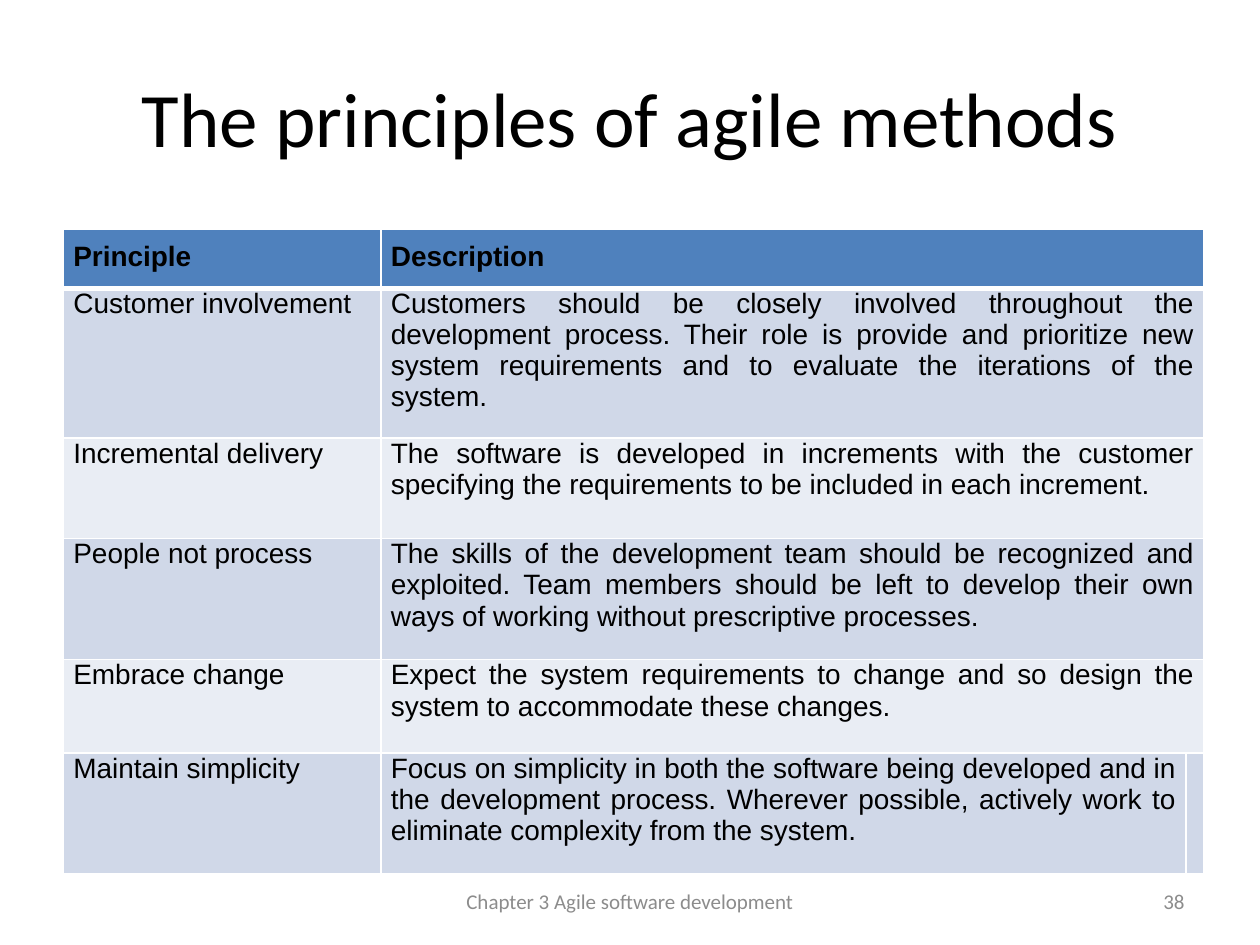
from lxml import etree
from pptx import Presentation
from pptx.dml.color import RGBColor
from pptx.enum.text import MSO_ANCHOR, PP_ALIGN
from pptx.oxml.ns import qn
from pptx.util import Cm, Pt

BLACK = RGBColor(0x00, 0x00, 0x00)
GREY = RGBColor(0x8C, 0x8C, 0x8C)
WHITE = RGBColor(0xFF, 0xFF, 0xFF)
HEADER_BLUE = RGBColor(0x4F, 0x81, 0xBD)
BAND_DARK = RGBColor(0xD0, 0xD8, 0xE8)
BAND_LIGHT = RGBColor(0xE9, 0xED, 0xF4)

ROWS = [
    ("Principle", "Description"),
    ("Customer involvement",
     "Customers should be closely involved throughout the development process. "
     "Their role is provide and prioritize new system requirements and to "
     "evaluate the iterations of the system."),
    ("Incremental delivery",
     "The software is developed in increments with the customer specifying the "
     "requirements to be included in each increment."),
    ("People not process",
     "The skills of the development team should be recognized and exploited. "
     "Team members should be left to develop their own ways of working without "
     "prescriptive processes."),
    ("Embrace change",
     "Expect the system requirements to change and so design the system to "
     "accommodate these changes."),
    ("Maintain simplicity",
     "Focus on simplicity in both the software being developed and in the "
     "development process. Wherever possible, actively work to eliminate "
     "complexity from the system."),
]
COLUMN_WIDTHS = [6.4, 16.23, 0.36]
ROW_HEIGHTS = [1.19, 3.02, 2.03, 2.44, 1.88, 2.44]


def add_text(paragraph, text, font_name, size, color, alignment, bold=False):
    paragraph.alignment = alignment
    run = paragraph.add_run()
    run.text = text
    run.font.name = font_name
    run.font.size = Pt(size)
    run.font.bold = bold
    run.font.color.rgb = color


def set_borders(cell, top, bottom):
    """Draw white borders; top and bottom are widths in points."""
    properties = cell._tc.get_or_add_tcPr()
    sides = [("a:lnL", 1), ("a:lnR", 1), ("a:lnT", top), ("a:lnB", bottom)]
    for position, (tag, width) in enumerate(sides):
        line = etree.Element(qn(tag), w=str(Pt(width)))
        fill = etree.SubElement(line, qn("a:solidFill"))
        etree.SubElement(fill, qn("a:srgbClr"), val=str(WHITE))
        properties.insert(position, line)


presentation = Presentation()
presentation.slide_width = Cm(25.4)
presentation.slide_height = Cm(19.05)
slide = presentation.slides.add_slide(presentation.slide_layouts[5])

title = slide.shapes.title
title.left, title.top, title.width, title.height = Cm(1.27), Cm(0.76), Cm(22.86), Cm(3.18)
title.text_frame.vertical_anchor = MSO_ANCHOR.MIDDLE
add_text(title.text_frame.paragraphs[0], "The principles of agile methods",
         "Calibri", 44, BLACK, PP_ALIGN.CENTER)

table = slide.shapes.add_table(
    len(ROWS), len(COLUMN_WIDTHS), Cm(1.28), Cm(4.62),
    Cm(sum(COLUMN_WIDTHS)), Cm(sum(ROW_HEIGHTS))).table
for column, width in zip(table.columns, COLUMN_WIDTHS):
    column.width = Cm(width)

for row_index, (texts, height) in enumerate(zip(ROWS, ROW_HEIGHTS)):
    table.rows[row_index].height = Cm(height)
    is_header = row_index == 0
    band = BAND_DARK if row_index % 2 else BAND_LIGHT
    for column_index in range(len(COLUMN_WIDTHS)):
        cell = table.cell(row_index, column_index)
        cell.fill.solid()
        cell.fill.fore_color.rgb = HEADER_BLUE if is_header else band
        set_borders(cell, top=3 if row_index == 1 else 1, bottom=3 if is_header else 1)
        has_text = column_index < len(texts)
        cell.margin_left = cell.margin_right = Cm(0.2 if has_text else 0)
        cell.margin_top = Cm(0.25 if is_header else 0)
        cell.margin_bottom = Cm(0.25)
        if has_text:
            add_text(cell.text_frame.paragraphs[0], texts[column_index],
                     "Arial", 16, BLACK, PP_ALIGN.JUSTIFY, bold=is_header)
    # Only the last row keeps its narrow third cell
    if row_index < len(ROWS) - 1:
        table.cell(row_index, 1).merge(table.cell(row_index, 2))

for text, left, width, alignment in [
    ("38", 18.2, 5.93, PP_ALIGN.RIGHT),
    ("Chapter 3 Agile software development", 8.68, 8.04, PP_ALIGN.CENTER),
]:
    text_frame = slide.shapes.add_textbox(Cm(left), Cm(17.66), Cm(width), Cm(1.01)).text_frame
    text_frame.word_wrap = True
    text_frame.vertical_anchor = MSO_ANCHOR.MIDDLE
    add_text(text_frame.paragraphs[0], text, "Calibri", 12, GREY, alignment)

presentation.save("out.pptx")
